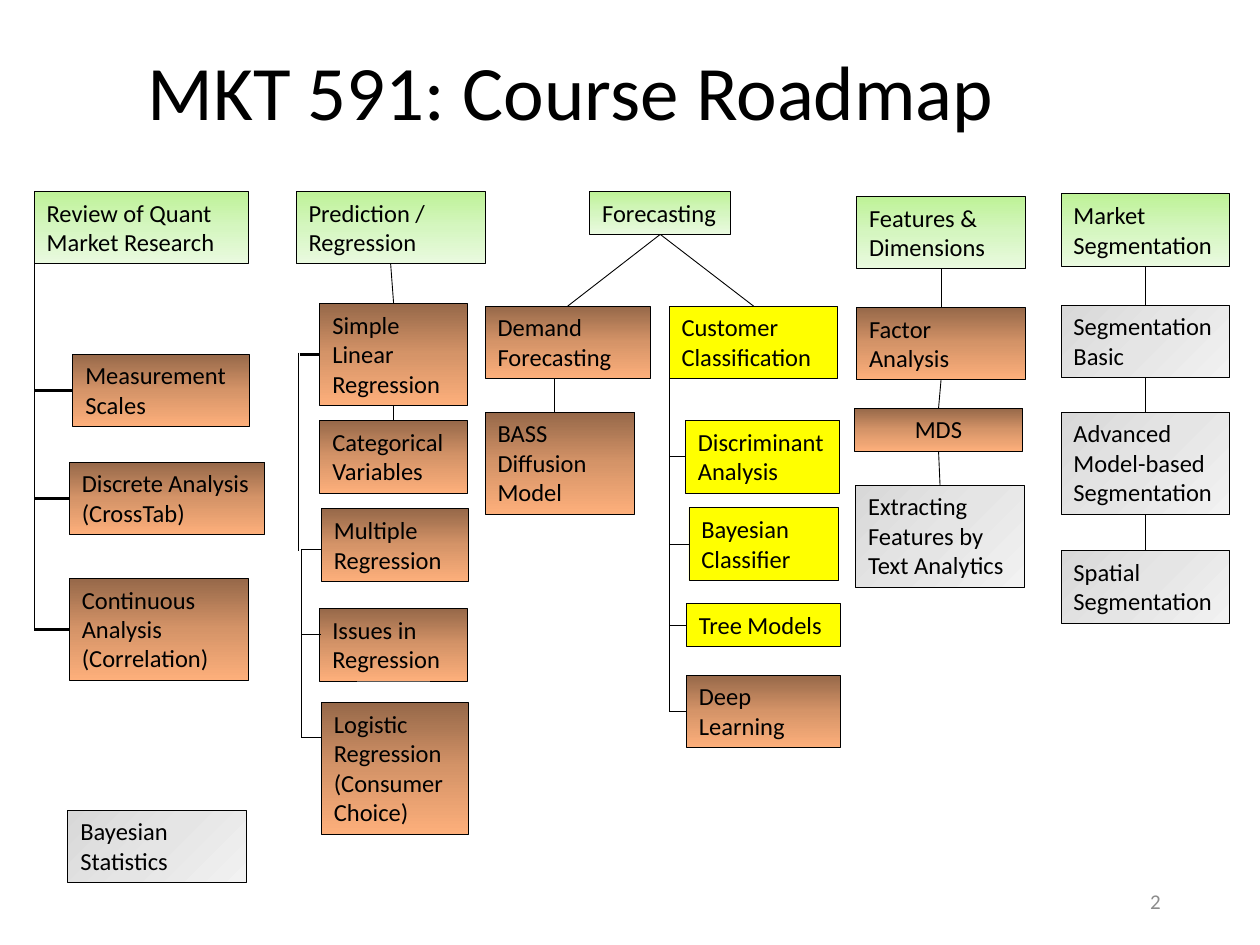
from copy import deepcopy

from lxml import etree
from pptx import Presentation
from pptx import util as u
from pptx.dml.color import RGBColor
from pptx.enum import shapes, text
from pptx.oxml import ns

TOP, LEFT, BOTTOM = 0, 1, 2
TOPIC = (["BEF297", "D5F6C0", "EAFAE0"], 270)
COVERED = (["966849", "D59468", "FDAF7B"], 270)
CURRENT = (["FFFF00"], 0)
OPTIONAL = (["D8D8D8", "E5E5E5", "F2F2F2"], 315)


def rgb(value):
    return RGBColor.from_string(value)


class Roadmap:
    font = "Calibri"
    ink = "000000"
    thin, thick = 0.5, 1.5

    def __init__(self, slide):
        self.slide = slide

    def set_words(self, frame, words, size, color, align):
        frame.word_wrap = True
        paragraph = frame.paragraphs[0]
        paragraph.text = words
        paragraph.alignment = align
        paragraph.font.name = self.font
        paragraph.font.size = u.Pt(size)
        paragraph.font.color.rgb = rgb(color)
        return paragraph

    def label(self, words, left, top, width, height, size, color, align):
        label = self.slide.shapes.add_textbox(*map(u.Cm, (left, top, width, height)))
        label.text_frame.vertical_anchor = text.MSO_ANCHOR.MIDDLE
        return self.set_words(label.text_frame, words, size, color, align)

    def paint(self, box, status):
        colors, angle = status
        if len(colors) == 1:
            box.fill.solid()
            box.fill.fore_color.rgb = rgb(colors[0])
            return
        box.fill.gradient()
        box.fill.gradient_angle = angle
        stops = box._element.xpath(".//a:gsLst")[0]
        stops.insert(1, deepcopy(stops[0]))
        stops[1].set("pos", "50000")
        for stop, color in zip(box.fill.gradient_stops, colors):
            stop.color.rgb = rgb(color)

    def box(self, words, left, top, width, rows, status, align=text.PP_ALIGN.LEFT):
        height = 0.27 + 0.595 * rows
        box = self.slide.shapes.add_shape(
            shapes.MSO_SHAPE.RECTANGLE, *map(u.Cm, (left, top, width, height)))
        box.shadow.inherit = False
        self.paint(box, status)
        box.line.color.rgb = rgb(self.ink)
        box.line.width = u.Pt(self.thin)
        box.text_frame.vertical_anchor = text.MSO_ANCHOR.TOP
        self.set_words(box.text_frame, words, 14, self.ink, align)
        box.text_frame.auto_size = text.MSO_AUTO_SIZE.SHAPE_TO_FIT_TEXT
        return box

    def line(self, x1, y1, x2, y2, weight=thin):
        line = self.slide.shapes.add_connector(
            shapes.MSO_CONNECTOR.STRAIGHT, *map(u.Cm, (x1, y1, x2, y2)))
        line.line.color.rgb = rgb(self.ink)
        line.line.width = u.Pt(weight)
        etree.SubElement(line._element.spPr, ns.qn("a:effectLst"))
        return line

    def link(self, parent, child):
        line = self.line(0, 0, 1, 1)
        line.begin_connect(parent, BOTTOM)
        line.end_connect(child, TOP)

    def branch(self, trunk, child, weight=thin):
        middle = u.Emu(child.top + child.height // 2).cm
        line = self.line(trunk, middle, u.Emu(child.left).cm, middle, weight)
        line.end_connect(child, LEFT)


TOPICS = [
    ("Review of Quant Market Research", 0.69, 3.86, 4.32, 2, TOPIC),
    ("Measurement Scales", 1.47, 7.14, 3.56, 2, COVERED),
    ("Discrete Analysis (CrossTab)", 1.4, 9.32, 3.94, 2, COVERED),
    ("Continuous Analysis (Correlation)", 1.4, 11.66, 3.61, 3, COVERED),
    ("Bayesian Statistics", 1.37, 16.33, 3.61, 2, OPTIONAL),
    ("Prediction / Regression", 5.97, 3.86, 3.81, 2, TOPIC),
    ("Simple Linear Regression", 6.45, 6.12, 2.97, 3, COVERED),
    ("Categorical Variables", 6.45, 8.48, 2.97, 2, COVERED),
    ("Multiple Regression", 6.48, 10.26, 2.97, 2, COVERED),
    ("Issues in Regression", 6.45, 12.27, 2.97, 2, COVERED),
    ("Logistic Regression (Consumer Choice)", 6.48, 14.17, 2.97, 4, COVERED),
    ("Forecasting", 11.89, 3.86, 2.84, 1, TOPIC),
    ("Demand Forecasting", 9.78, 6.17, 3.33, 2, COVERED),
    ("BASS Diffusion Model", 9.78, 8.31, 3.02, 3, COVERED),
    ("Customer Classification", 13.49, 6.17, 3.4, 2, CURRENT),
    ("Discriminant Analysis", 13.82, 8.48, 3.1, 2, CURRENT),
    ("Bayesian Classifier", 13.89, 10.24, 3.02, 2, CURRENT),
    ("Tree Models", 13.84, 12.17, 3.1, 1, CURRENT),
    ("Deep Learning", 13.84, 13.61, 3.1, 2, COVERED),
    ("Features & Dimensions", 17.27, 3.96, 3.4, 2, TOPIC),
    ("Factor Analysis", 17.27, 6.2, 3.4, 2, COVERED),
    ("MDS", 17.22, 8.23, 3.4, 1, COVERED, text.PP_ALIGN.CENTER),
    ("Extracting Features by Text Analytics", 17.25, 9.78, 3.4, 3, OPTIONAL),
    ("Market Segmentation", 21.39, 3.91, 3.4, 2, TOPIC),
    ("Segmentation Basic", 21.39, 6.15, 3.4, 2, OPTIONAL),
    ("Advanced Model-based Segmentation", 21.39, 8.31, 3.4, 3, OPTIONAL),
    ("Spatial Segmentation", 21.39, 11.1, 3.4, 2, OPTIONAL),
]
CHAINS = [
    ("Prediction / Regression", "Simple Linear Regression", "Categorical Variables"),
    ("Forecasting", "Demand Forecasting"),
    ("Forecasting", "Customer Classification"),
    ("Features & Dimensions", "Factor Analysis", "MDS",
     "Extracting Features by Text Analytics"),
    ("Market Segmentation", "Segmentation Basic",
     "Advanced Model-based Segmentation", "Spatial Segmentation"),
]
BRANCHES = [
    (0.69, Roadmap.thick, ("Measurement Scales", "Discrete Analysis (CrossTab)",
                           "Continuous Analysis (Correlation)")),
    (6.04, Roadmap.thick, ("Simple Linear Regression",)),
    (13.49, Roadmap.thin, ("Discriminant Analysis", "Bayesian Classifier",
                           "Tree Models", "Deep Learning")),
]
TRUNKS = [(0.69, 5.31, 12.69), (6.02, 7.11, 11.1), (6.07, 11.07, 14.88),
          (13.49, 7.04, 14.33), (11.18, 7.62, 8.31)]
REGRESSION_TICKS = [11.07, 12.78, 14.86]


def main():
    deck = Presentation()
    deck.slide_width, deck.slide_height = u.Cm(25.4), u.Cm(19.05)
    roadmap = Roadmap(deck.slides.add_slide(deck.slide_layouts[6]))

    title = roadmap.label("MKT 591: Course Roadmap", 2.72, 0.08, 18.47, 3.68,
                          44, Roadmap.ink, text.PP_ALIGN.LEFT)
    title.line_spacing = 0.9
    roadmap.label("2", 17.93, 17.65, 5.72, 1.02, 12, "8C8C8C", text.PP_ALIGN.RIGHT)

    boxes = {topic[0]: roadmap.box(*topic) for topic in TOPICS}
    for chain in CHAINS:
        for parent, child in zip(chain, chain[1:]):
            roadmap.link(boxes[parent], boxes[child])
    for x, top, bottom in TRUNKS:
        roadmap.line(x, top, x, bottom)
    for trunk, weight, children in BRANCHES:
        for child in children:
            roadmap.branch(trunk, boxes[child], weight)
    for y in REGRESSION_TICKS:
        roadmap.line(6.07, y, 6.48, y)

    deck.save("out.pptx")


if __name__ == "__main__":
    main()
